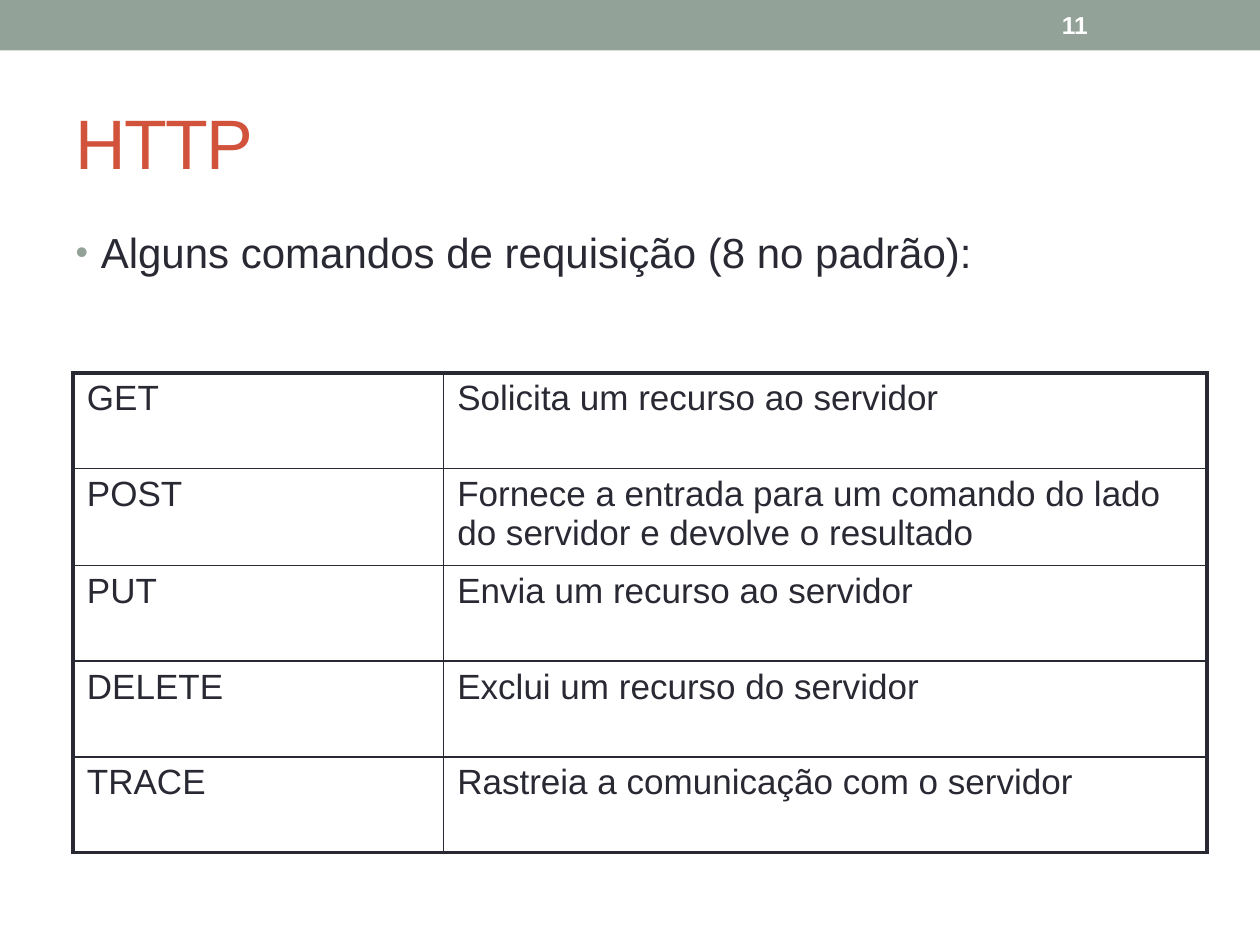
from lxml.etree import SubElement
from pptx import Presentation
from pptx.dml.color import RGBColor
from pptx.enum.shapes import MSO_SHAPE
from pptx.enum.text import MSO_ANCHOR, PP_ALIGN
from pptx.oxml.ns import qn
from pptx.util import Inches, Pt

SAGE = RGBColor(0x93, 0xA2, 0x99)
RED = RGBColor(0xD2, 0x53, 0x3C)
DARK = RGBColor(0x29, 0x29, 0x34)
WHITE = RGBColor(0xFF, 0xFF, 0xFF)
FONT = "Arial"
THIN, THICK = Pt(1), Pt(2.25)
COMMANDS = [
    ("GET", "Solicita um recurso ao servidor"),
    ("POST", "Fornece a entrada para um comando do lado do servidor e devolve o resultado"),
    ("PUT", "Envia um recurso ao servidor"),
    ("DELETE", "Exclui um recurso do servidor"),
    ("TRACE", "Rastreia a comunicação com o servidor"),
]


def write_text(text_frame, text, size, color, bold=False):
    """Set one left-aligned paragraph and return it."""
    text_frame.text = text
    paragraph = text_frame.paragraphs[0]
    paragraph.alignment = PP_ALIGN.LEFT
    font = paragraph.runs[0].font
    font.name, font.size, font.bold = FONT, Pt(size), bold
    font.color.rgb = color
    return paragraph


def place(shape, left, top, width, height):
    """Move and size a shape."""
    shape.left, shape.top, shape.width, shape.height = left, top, width, height


def add_header(slide, left, top, width, height):
    """Draw the top band with the slide number."""
    band = slide.shapes.add_shape(MSO_SHAPE.RECTANGLE, left, top, width, height)
    band.shadow.inherit = False
    band.fill.solid()
    band.fill.fore_color.rgb = SAGE
    band.line.fill.background()
    number = slide.shapes.add_textbox(
        left + Inches(8.33), top + Inches(0.02), Inches(1.17), Inches(0.36))
    number.text_frame.word_wrap = True
    number.text_frame.vertical_anchor = MSO_ANCHOR.MIDDLE
    write_text(number.text_frame, "11", 14, WHITE, bold=True)


def fill_title(slide, left, top, width, height):
    """Place the title placeholder."""
    title = slide.shapes.title
    place(title, left, top, width, height)
    title.text_frame.vertical_anchor = MSO_ANCHOR.MIDDLE
    paragraph = write_text(title.text_frame, "HTTP", 40, RED)
    paragraph.runs[0].font._element.set("spc", "-100")


def fill_body(slide, left, top, width, height):
    """Place the bulleted body placeholder."""
    body = slide.placeholders[1]
    place(body, left, top, width, height)
    paragraph = write_text(
        body.text_frame, "Alguns comandos de requisição (8 no padrão):", 24, DARK)
    properties = paragraph._p.get_or_add_pPr()
    properties.set("marL", str(Inches(0.2)))
    properties.set("indent", str(-Inches(0.2)))
    bullet_color = SubElement(properties, qn("a:buClr"))
    SubElement(bullet_color, qn("a:srgbClr"), val=str(SAGE))
    SubElement(properties, qn("a:buSzPct"), val="85000")
    SubElement(properties, qn("a:buFont"), typeface=FONT)
    SubElement(properties, qn("a:buChar"), char="•")


def set_borders(cell, **widths):
    """Give a cell solid borders, keyed by side in the order L, R, T, B."""
    properties = cell._tc.get_or_add_tcPr()
    for side, width in widths.items():
        line = SubElement(properties, qn(f"a:ln{side}"), w=str(width))
        fill = SubElement(line, qn("a:solidFill"))
        SubElement(fill, qn("a:srgbClr"), val=str(DARK))


def add_command_table(slide, left, top, width, height):
    """Build the table of commands with a thick outer frame."""
    last = len(COMMANDS) - 1
    table = slide.shapes.add_table(len(COMMANDS), 2, left, top, width, height).table
    table.first_row = table.horz_banding = False
    table.columns[0].width = Inches(2.94)
    table.columns[1].width = width - Inches(2.94)
    for row, texts in enumerate(COMMANDS):
        for column, text in enumerate(texts):
            cell = table.cell(row, column)
            set_borders(
                cell,
                L=THICK if column == 0 else THIN,
                R=THICK if column == 1 else THIN,
                T=THICK if row == 0 else THIN,
                B=THICK if row == last else THIN)
            cell.fill.background()
            cell.margin_left = cell.margin_right = Inches(0.11)
            cell.margin_top = cell.margin_bottom = Inches(0.05)
            write_text(cell.text_frame, text, 20, DARK)


def main():
    """Build and save the slide."""
    presentation = Presentation()
    presentation.slide_width, presentation.slide_height = Inches(10), Inches(7.5)
    slide = presentation.slides.add_slide(presentation.slide_layouts[1])
    add_header(slide, 0, 0, presentation.slide_width, Inches(0.4))
    fill_title(slide, Inches(0.5), Inches(0.58), Inches(9), Inches(1.08))
    fill_body(slide, Inches(0.5), Inches(1.75), Inches(9), Inches(5.33))
    add_command_table(slide, Inches(0.58), Inches(2.96), Inches(9), Inches(3.8))
    presentation.save("out.pptx")


if __name__ == "__main__":
    main()
